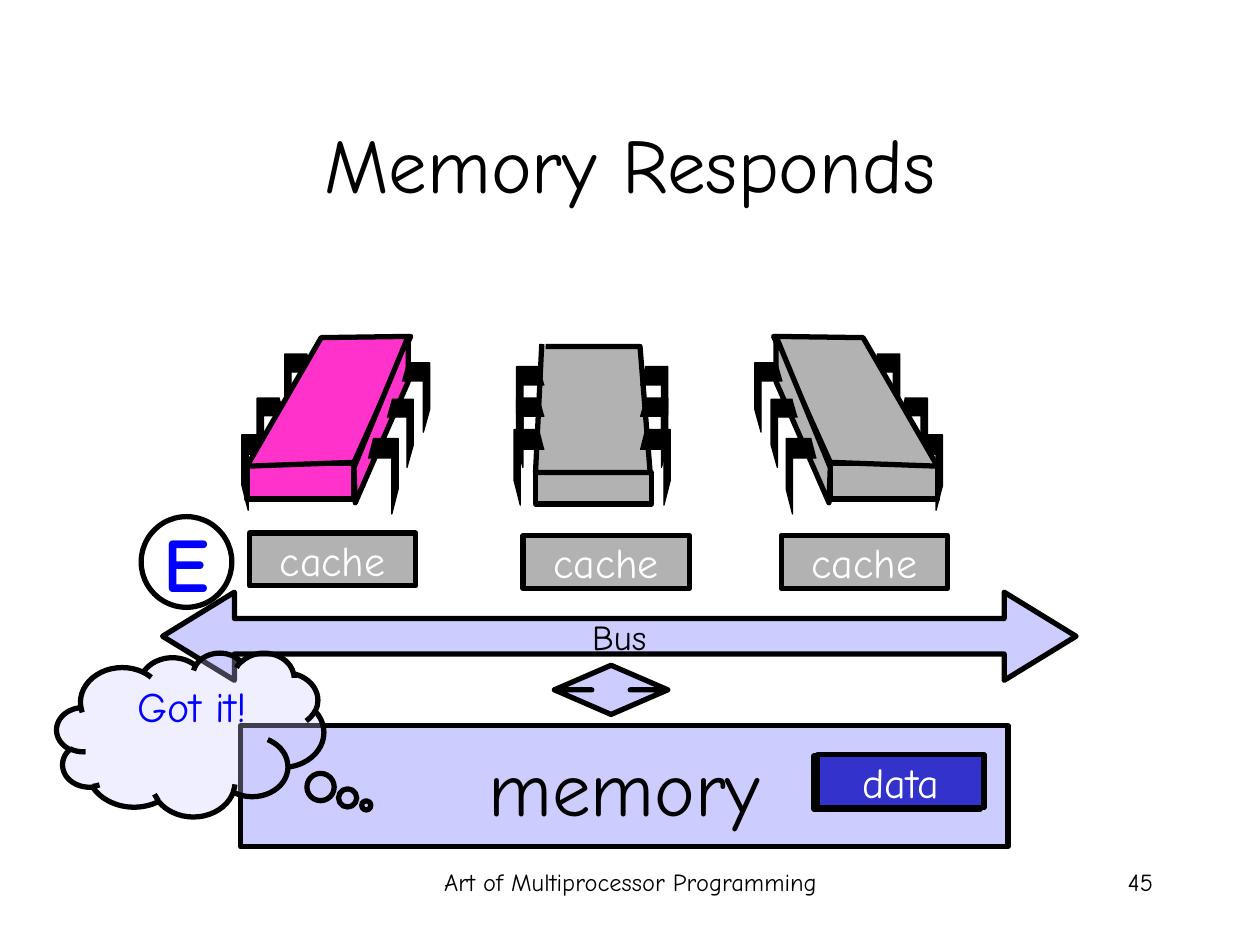
from lxml.etree import SubElement
from pptx import Presentation
from pptx.dml.color import RGBColor
from pptx.enum.shapes import MSO_SHAPE as Shape
from pptx.enum.text import MSO_ANCHOR as Anchor, MSO_AUTO_SIZE as AutoSize, PP_ALIGN as Align
from pptx.oxml.ns import qn
from pptx.util import Inches, Pt

FONT = "Comic Neue"
BLACK = RGBColor(0x00, 0x00, 0x00)
WHITE = RGBColor(0xFF, 0xFF, 0xFF)
GRAY = RGBColor(0xB2, 0xB2, 0xB2)
PINK = RGBColor(0xFF, 0x33, 0xCC)
LAVENDER = RGBColor(0xCC, 0xCC, 0xFF)
INDIGO = RGBColor(0x33, 0x33, 0xCC)
BLUE = RGBColor(0x00, 0x00, 0xFF)

# Content
TITLE = "Memory Responds"
FOOTERS = [("Art of Multiprocessor Programming", 3.42, 3.17, Align.CENTER),
           ("45", 7.17, 2.08, Align.RIGHT)]
CACHES = [(1.98, 4.23), (4.15, 4.25), (6.2, 4.25)]
BLOCK = (1.32, 0.42)  # size of a cache or data block

# Chips: front (left, top, width, height), faces (points, closed),
# pins (left, top, width, height)
MIDDLE_CHIP = {
    "front": (4.25, 3.75, 0.92, 0.25),
    "faces": [([(4.33, 2.75), (5.08, 2.75), (5.16, 3.75), (4.25, 3.75), (4.3, 2.73)], False)],
    "pins": [(5.08, 3.41, 0.24, 0.6), (5.08, 3.16, 0.22, 0.55), (5.08, 2.91, 0.22, 0.56)],
}
SIDE_CHIP = {
    "front": (1.96, 3.68, 0.85, 0.28),
    "faces": [([(1.96, 3.7), (2.81, 3.67), (3.26, 2.67), (2.55, 2.68)], True),
              ([(3.24, 2.67), (3.24, 3.03), (2.82, 3.99), (2.81, 3.71)], True)],
    "back_pins": [(1.92, 3.45, 0.24, 0.6), (2.04, 3.16, 0.22, 0.54), (2.26, 2.81, 0.22, 0.55)],
    "pins": [(2.92, 3.48, 0.24, 0.6), (3.07, 3.17, 0.21, 0.54), (3.19, 2.88, 0.22, 0.55)],
}
MIRROR = 9.4  # a point at x has its reflection at MIRROR - x

deck = Presentation()
deck.slide_width, deck.slide_height = Inches(10), Inches(7.5)
page = deck.slides.add_slide(deck.slide_layouts[5])


def write(box, text, size, color, align=Align.CENTER, bold=False):
    para = box.text_frame.paragraphs[0]
    para.alignment = align
    span = para.add_run()
    span.text = text
    font = span.font
    font.name, font.size, font.bold = FONT, Pt(size), bold
    font.color.rgb = color


def paint(shape, fill, width=3):
    shape.shadow.inherit = False
    if fill is None:
        shape.fill.background()
    else:
        shape.fill.solid()
        shape.fill.fore_color.rgb = fill
    shape.line.color.rgb = BLACK
    shape.line.width = Pt(width)


def add_box(kind, place, fill, text="", size=24, color=BLACK, bold=False, adjust=()):
    box = page.shapes.add_shape(kind, *map(Inches, place))
    paint(box, fill)
    for index, value in enumerate(adjust):
        box.adjustments[index] = value
    if text:
        box.text_frame.word_wrap = False
        box.text_frame.vertical_anchor = Anchor.MIDDLE
        write(box, text, size, color, bold=bold)
    return box


def add_text(place, text, size, color, align=Align.CENTER):
    box = page.shapes.add_textbox(*map(Inches, place))
    box.text_frame.word_wrap = True
    write(box, text, size, color, align)
    return box


def add_outline(points, fill, width, closed, mirrored):
    start, *rest = [(Inches(MIRROR - x if mirrored else x), Inches(y)) for x, y in points]
    builder = page.shapes.build_freeform(*start, scale=1.0)
    builder.add_line_segments(rest, close=closed)
    paint(builder.convert_to_shape(), fill, width)


def add_pin(place, mirrored):
    """A bent pin that leaves the chip to the right, or to the left if mirrored."""
    left, top, width, height = place
    right, bend = left + width, top + 0.26 * height
    points = [(left + 0.04, top), (right, top), (right, top + 0.67 * height),
              (right - 0.05, top + height), (right - 0.05, bend), (left, bend)]
    add_outline(points, BLACK, 0.75, False, mirrored)


def add_chip(chip, fill, mirrored=False):
    left, top, width, height = chip["front"]
    if mirrored:
        left = MIRROR - left - width
    add_box(Shape.RECTANGLE, (left, top, width, height), fill)
    for x, y, w, h in chip.get("back_pins", []):
        add_pin((MIRROR - x - w, y, w, h), not mirrored)
    for points, closed in chip["faces"]:
        add_outline(points, fill, 3, closed, mirrored)
    for place in chip["pins"]:
        add_pin(place, mirrored)


# Title and footers
title = page.shapes.title
title.left, title.top, title.width, title.height = map(Inches, (0.75, 0.67, 8.5, 1.25))
title.text_frame.vertical_anchor = Anchor.MIDDLE
write(title, TITLE, 44, BLACK)
for text, left, width, align in FOOTERS:
    add_text((left, 6.83, width, 0.5), text, 14, BLACK, align)

# Processors: the middle one has the same pins on both sides
add_chip(MIDDLE_CHIP, GRAY)
for place in MIDDLE_CHIP["pins"]:
    add_pin(place, True)
add_chip(SIDE_CHIP, PINK)
add_chip(SIDE_CHIP, GRAY, mirrored=True)

# Bus, memory and caches
add_box(Shape.LEFT_RIGHT_ARROW, (1.29, 4.7, 7.25, 0.7), LAVENDER, "Bus", 20,
        adjust=(0.401, 0.815))
add_box(Shape.RECTANGLE, (1.91, 5.76, 6.09, 0.96), LAVENDER, "memory", 44)
add_box(Shape.UP_DOWN_ARROW, (4.4, 5.28, 0.9, 0.39), LAVENDER, adjust=(0.5, 0.338))
for corner in CACHES:
    add_box(Shape.RECTANGLE, corner + BLOCK, GRAY, "cache", color=WHITE)

# Data block with a second one just behind it
add_box(Shape.RECTANGLE, (6.46, 6) + BLOCK, INDIGO)

# Thought cloud, 30 % opaque
cloud = add_box(Shape.CLOUD_CALLOUT, (0.45, 5.18, 2.12, 1.3), LAVENDER, adjust=(0.659, 0.433))
tint = cloud.fill._xPr.find(qn("a:solidFill"))[0]
SubElement(tint, qn("a:alpha"), val="30000")
thought = add_text((0.96, 5.35, 1.13, 0.9), "Got it!", 24, BLUE)
thought.text_frame.auto_size = AutoSize.SHAPE_TO_FIT_TEXT

add_box(Shape.RECTANGLE, (6.49, 5.99) + BLOCK, INDIGO, "data", color=WHITE)

# Exclusive state of the first cache
add_box(Shape.OVAL, (1.12, 4.1, 0.72, 0.72), None, "E", 44, BLUE, bold=True)

deck.save("out.pptx")
